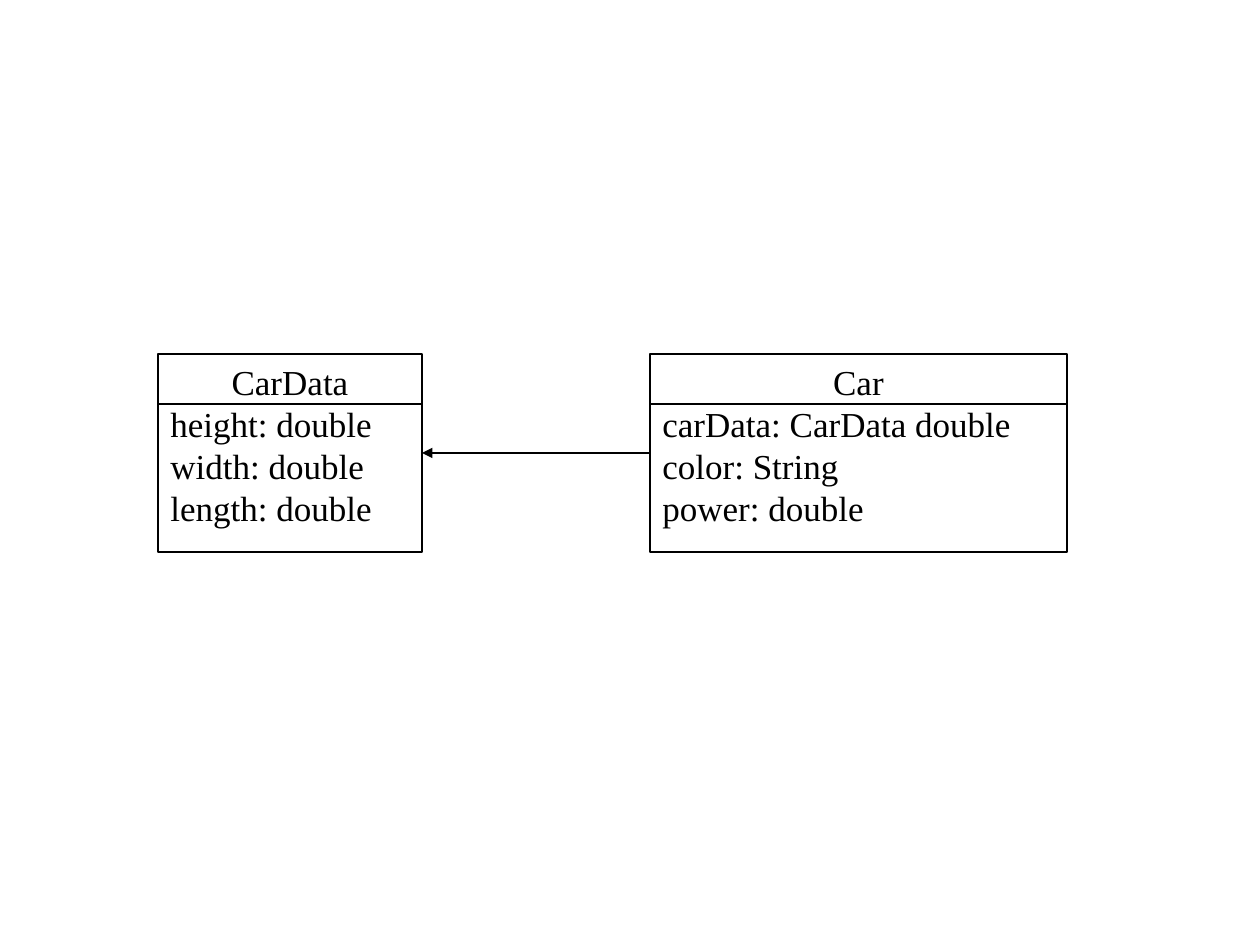
from dataclasses import dataclass
from lxml import etree
from pptx import Presentation
from pptx.dml.color import RGBColor
from pptx.enum.shapes import MSO_CONNECTOR, MSO_SHAPE
from pptx.enum.text import MSO_ANCHOR, PP_ALIGN
from pptx.oxml.ns import qn
from pptx.util import Pt

RECTANGLE = MSO_SHAPE.RECTANGLE
STRAIGHT = MSO_CONNECTOR.STRAIGHT
TOP = MSO_ANCHOR.TOP
CENTER, JUSTIFY = PP_ALIGN.CENTER, PP_ALIGN.JUSTIFY
EMU_PER_PIXEL = 914400 / 126
BLANK_LAYOUT = 6


@dataclass(frozen=True)
class Theme:
    ink: RGBColor = RGBColor(0, 0, 0)
    paper: RGBColor = RGBColor(255, 255, 255)
    font: str = "Times New Roman"
    text_size: int = Pt(20)
    line_pitch: int = Pt(24)
    line_width: int = Pt(0.74)


@dataclass(frozen=True)
class Box:
    left: int
    top: int
    width: int
    height: int

    @property
    def right(self):
        return self.left + self.width

    @property
    def middle(self):
        return self.top + self.height // 2


THEME = Theme()
HEADER_HEIGHT = 50


def px(pixels):
    return round(pixels * EMU_PER_PIXEL)


def style_line(line):
    line.color.rgb = THEME.ink
    line.width = THEME.line_width


def add_line(slide, start, end, arrow=False):
    connector = slide.shapes.add_connector(STRAIGHT, *map(px, start + end))
    style_line(connector.line)
    properties = connector._element.spPr
    if arrow:
        outline = properties.find(qn("a:ln"))
        etree.SubElement(outline, qn("a:tailEnd"), type="triangle")
    etree.SubElement(properties, qn("a:effectLst"))


def add_class(slide, box, name, fields):
    shape = slide.shapes.add_shape(
        RECTANGLE, px(box.left), px(box.top), px(box.width), px(box.height)
    )
    shape.shadow.inherit = False
    shape.fill.solid()
    shape.fill.fore_color.rgb = THEME.paper
    style_line(shape.line)
    text_frame = shape.text_frame
    text_frame.word_wrap = True
    text_frame.vertical_anchor = TOP
    text_frame.text = "\n".join([name, *fields])
    for index, paragraph in enumerate(text_frame.paragraphs):
        paragraph.alignment = JUSTIFY if index else CENTER
        paragraph.line_spacing = THEME.line_pitch
        for run in paragraph.runs:
            run.font.name = THEME.font
            run.font.size = THEME.text_size
            run.font.color.rgb = THEME.ink
    divider = box.top + HEADER_HEIGHT
    add_line(slide, (box.left, divider), (box.right, divider))


def add_class_diagram(slide, area):
    car_data = Box(area.left, area.top, 264, area.height)
    car = Box(area.right - 417, area.top, 417, area.height)
    add_class(slide, car_data, "CarData",
              ["height: double", "width: double", "length: double"])
    add_class(slide, car, "Car",
              ["carData: CarData double", "color: String", "power: double"])
    add_line(slide, (car.left, car.middle), (car_data.right, car_data.middle), arrow=True)


def main():
    presentation = Presentation()
    presentation.slide_width = px(1260)
    presentation.slide_height = px(945)
    slide = presentation.slides.add_slide(presentation.slide_layouts[BLANK_LAYOUT])
    slide.background.fill.solid()
    slide.background.fill.fore_color.rgb = THEME.paper
    add_class_diagram(slide, Box(158, 354, 909, 198))
    presentation.save("out.pptx")


main()
